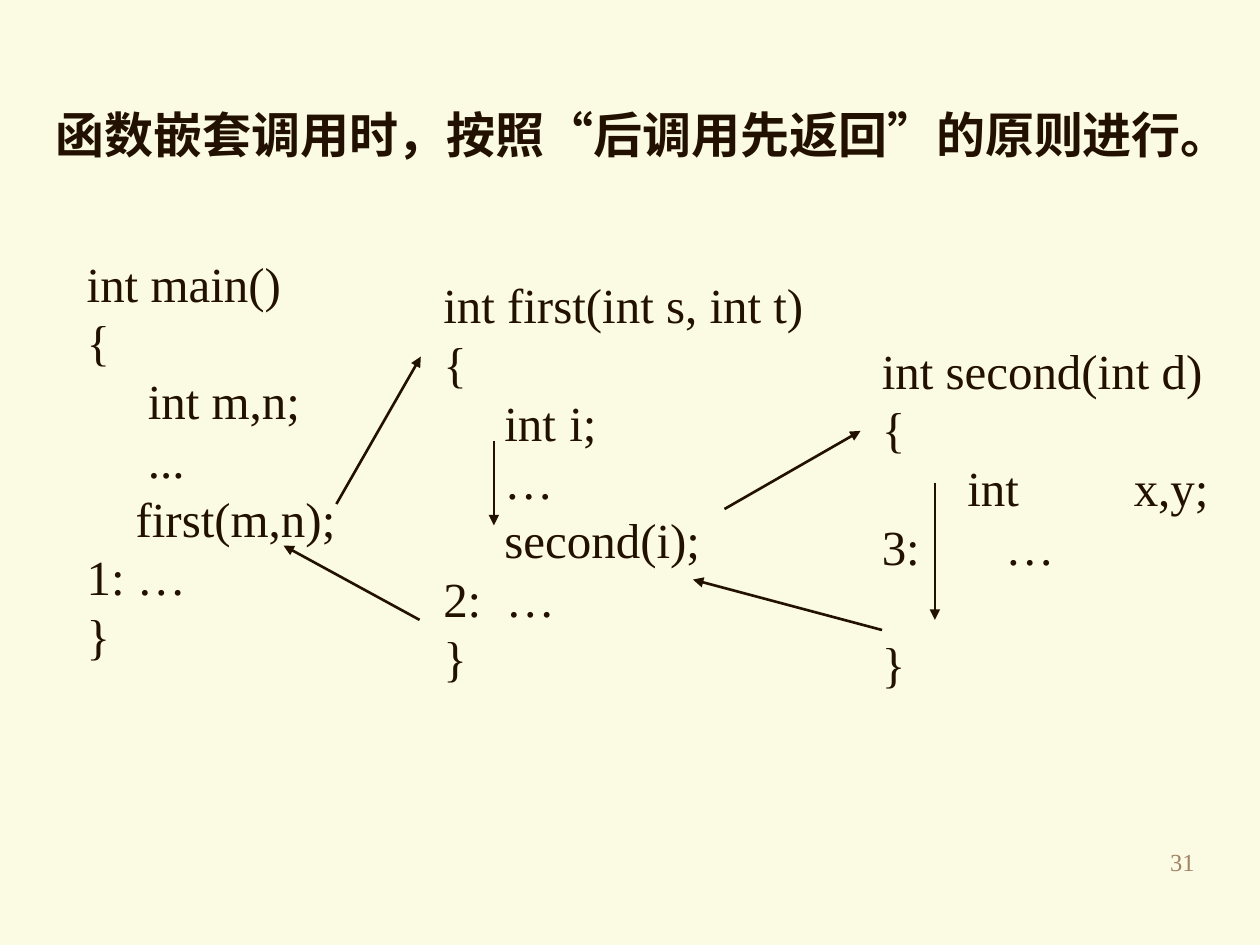
from dataclasses import dataclass

from pptx import Presentation
from pptx.dml.color import RGBColor
from pptx.enum.shapes import MSO_CONNECTOR
from pptx.enum.text import MSO_ANCHOR, MSO_AUTO_SIZE, PP_ALIGN
from pptx.oxml.ns import qn
from pptx.slide import Slide
from pptx.util import Inches, Pt
from lxml.etree import SubElement

FONT = "Times New Roman"
INK = "221100"
MUTED = "A08366"
PAPER = "FBFAE2"
LINE_PITCH = 33.6
TAB_STOPS = (1, 2)


@dataclass
class Function:
    left: float
    top: float
    width: float
    height: float
    code: list[str]
    gap_before_close: float = 0


@dataclass
class Arrow:
    start: tuple[float, float]
    end: tuple[float, float]


FUNCTIONS = [
    Function(0.59, 1.96, 2.3, 3.37, [
        "int main()",
        "{",
        "     int m,n;",
        "     ...",
        "    first(m,n);",
        "1: …",
        "}",
    ]),
    Function(3.42, 2.13, 3.2, 3.37, [
        "int first(int s, int t)",
        "{",
        "     int \ti;",
        "     …",
        "     second(i);",
        "2:  …",
        "}",
    ]),
    Function(6.9, 2.65, 2.9, 2.9, [
        "int second(int d)",
        "{",
        "       int\tx,y;",
        "3:       …",
        "}",
    ], gap_before_close=LINE_PITCH),
]

ARROWS = [
    Arrow((7.42, 3.83), (7.42, 4.92)),
    Arrow((2.67, 4), (3.34, 2.83)),
    Arrow((3.92, 3.5), (3.92, 4.17)),
    Arrow((5.75, 4.04), (6.83, 3.42)),
    Arrow((7, 5), (5.5, 4.6)),
    Arrow((3.33, 4.92), (2.25, 4.33)),
]


def color(value: str) -> RGBColor:
    return RGBColor.from_string(value)


def style(paragraph, size: float, ink: str, bold: bool = False) -> None:
    paragraph.font.name = FONT
    paragraph.font.size = Pt(size)
    paragraph.font.bold = bold
    paragraph.font.color.rgb = color(ink)


def add_tab_stops(paragraph) -> None:
    stops = SubElement(paragraph._p.get_or_add_pPr(), qn("a:tabLst"))
    for position in TAB_STOPS:
        SubElement(stops, qn("a:tab"), pos=str(Inches(position)), algn="l")


def set_title(slide: Slide, text: str) -> None:
    title = slide.shapes.title
    title.left, title.top = Inches(0.34), Inches(0.78)
    title.width, title.height = Inches(9.52), Inches(0.57)
    frame = title.text_frame
    frame.text = text
    frame.word_wrap = False
    frame.auto_size = MSO_AUTO_SIZE.NONE
    frame.vertical_anchor = MSO_ANCHOR.TOP
    frame.paragraphs[0].alignment = PP_ALIGN.LEFT
    style(frame.paragraphs[0], 28, INK, bold=True)


def draw_function(slide: Slide, function: Function) -> None:
    listing = slide.shapes.add_textbox(
        Inches(function.left), Inches(function.top),
        Inches(function.width), Inches(function.height))
    frame = listing.text_frame
    frame.word_wrap = True
    frame.text = "\n".join(function.code)
    for paragraph in frame.paragraphs:
        paragraph.line_spacing = Pt(LINE_PITCH)
        add_tab_stops(paragraph)
        style(paragraph, 28, INK)
    if function.gap_before_close:
        frame.paragraphs[-1].space_before = Pt(function.gap_before_close)


def draw_arrow(slide: Slide, arrow: Arrow) -> None:
    call = slide.shapes.add_connector(
        MSO_CONNECTOR.STRAIGHT,
        *(Inches(value) for value in arrow.start + arrow.end))
    call.line.color.rgb = color(INK)
    call.line.width = Pt(1.5)
    SubElement(call.line._get_or_add_ln(), qn("a:tailEnd"), type="triangle")
    SubElement(call._element.spPr, qn("a:effectLst"))


def draw_page_number(slide: Slide, number: str) -> None:
    page = slide.shapes.add_textbox(
        Inches(7.5), Inches(6.67), Inches(2.08), Inches(0.5))
    page.text_frame.word_wrap = True
    page.text_frame.text = number
    paragraph = page.text_frame.paragraphs[0]
    paragraph.alignment = PP_ALIGN.RIGHT
    style(paragraph, 14, MUTED)


def main() -> None:
    presentation = Presentation()
    presentation.slide_width = Inches(10)
    presentation.slide_height = Inches(7.5)
    slide = presentation.slides.add_slide(presentation.slide_layouts[5])
    slide.background.fill.solid()
    slide.background.fill.fore_color.rgb = color(PAPER)

    set_title(slide, "函数嵌套调用时，按照“后调用先返回”的原则进行。")
    for function in FUNCTIONS:
        draw_function(slide, function)
    for arrow in ARROWS:
        draw_arrow(slide, arrow)
    draw_page_number(slide, "31")
    presentation.save("out.pptx")


if __name__ == "__main__":
    main()
